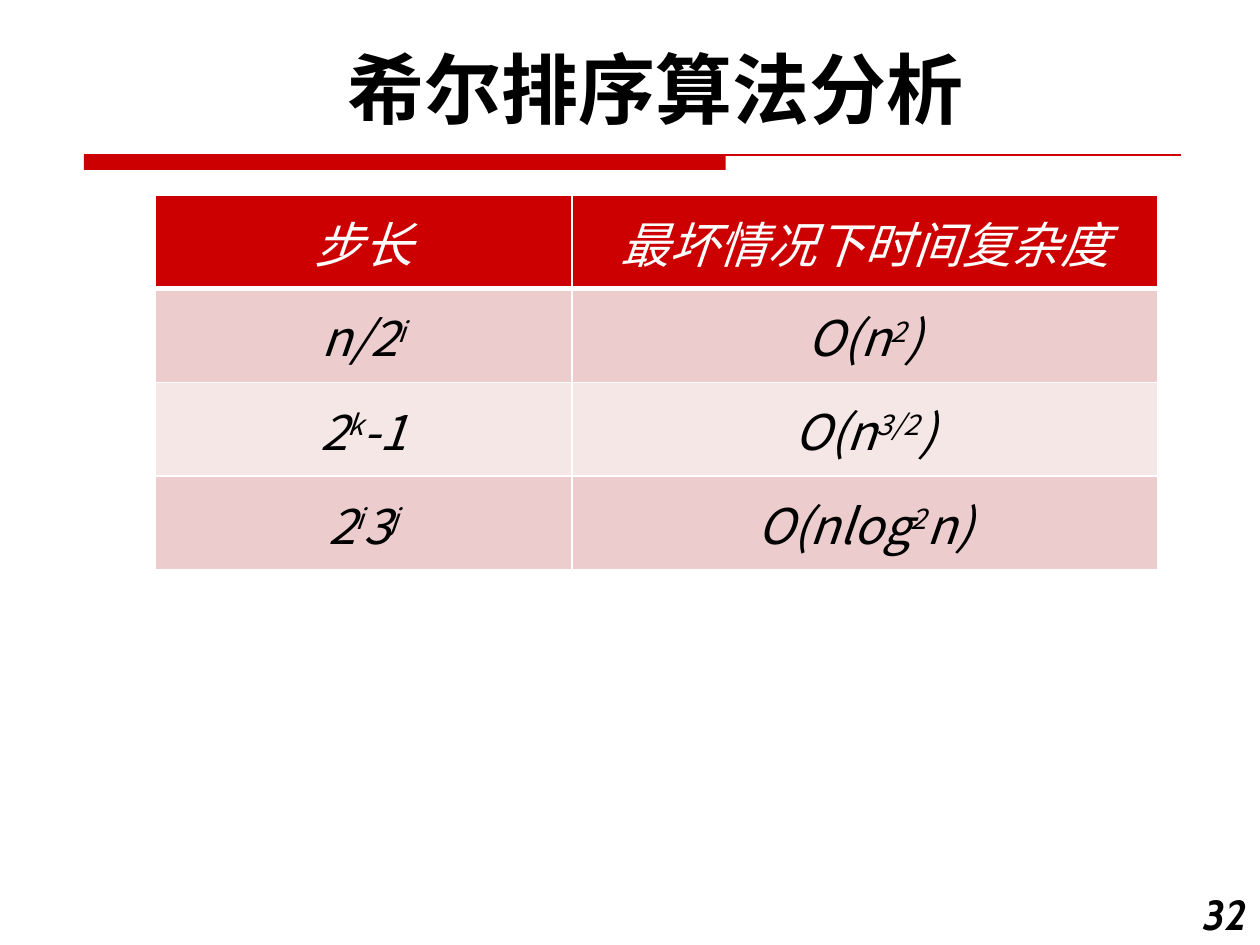
from dataclasses import dataclass

from lxml.etree import SubElement
from pptx import Presentation
from pptx.dml.color import RGBColor
from pptx.enum.shapes import MSO_CONNECTOR, MSO_SHAPE
from pptx.enum.text import MSO_ANCHOR, PP_ALIGN
from pptx.oxml.ns import qn
from pptx.util import Pt

EMU_PER_PX = 914400 / 126


@dataclass(frozen=True)
class Theme:
    """Colours, fonts and type sizes of the slide."""
    accent: str = "CC0000"
    ink: str = "000000"
    paper: str = "FFFFFF"
    bands: tuple = ("ECCCCC", "F6E7E7")
    heading_font: str = "Cabin"
    body_font: str = "Noto Sans CJK SC"
    title_size: int = 44
    body_size: int = 28
    number_size: int = 24


THEME = Theme()
HEADERS = ("步长", "最坏情况下时间复杂度")
COMPLEXITIES = (
    ("n/2^i", "O(n^2)"),
    ("2^k^-1", "O(n^3/2^)"),
    ("2^i^3^j", "O(nlog^2^n)"),
)
ROWS = (
    (("n/2", "i"), ("O(n", "2", ")")),
    (("2", "k", "-1"), ("O(n", "3/2", ")")),
    (("2", "i", "3", "j"), ("O(nlog", "2", "n)")),
)


def px(length):
    """Turn pixels into EMU."""
    return round(length * EMU_PER_PX)


def style_run(run, size, font_name, color, bold=False, italic=False):
    """Format one run for Latin and East Asian letters."""
    font = run.font
    font.size, font.name = Pt(size), font_name
    font.bold, font.italic = bold, italic
    font.color.rgb = RGBColor.from_string(color)
    SubElement(run._r.get_or_add_rPr(), qn("a:ea"), typeface=THEME.body_font)


def add_heading_text(slide, box, text, size, alignment, italic=False):
    """Place one bold line of text in the middle of a box."""
    text_frame = slide.shapes.add_textbox(*map(px, box)).text_frame
    text_frame.word_wrap = True
    text_frame.vertical_anchor = MSO_ANCHOR.MIDDLE
    text_frame.text = text
    paragraph = text_frame.paragraphs[0]
    paragraph.alignment = alignment
    style_run(paragraph.runs[0], size, THEME.heading_font, THEME.ink, True, italic)


def add_title_rule(slide, box):
    """Draw a thin rule with a thick bar under its left part."""
    left, top, width, height = box
    accent = RGBColor.from_string(THEME.accent)
    bar = slide.shapes.add_shape(
        MSO_SHAPE.RECTANGLE, px(left), px(top), px(width * 0.585), px(height))
    bar.shadow.inherit = False
    bar.fill.solid()
    bar.fill.fore_color.rgb = accent
    bar.line.fill.background()
    rule = slide.shapes.add_connector(
        MSO_CONNECTOR.STRAIGHT, px(left), px(top), px(left + width), px(top))
    rule.line.color.rgb = accent
    rule.line.width = Pt(0.75)
    SubElement(rule._element.spPr, qn("a:effectLst"))


def style_cell(cell, fill, bottom_width):
    """Give a cell white borders and a plain fill."""
    properties = cell._tc.get_or_add_tcPr()
    for side, width in (("L", 1), ("R", 1), ("T", 1), ("B", bottom_width)):
        line = SubElement(properties, qn(f"a:ln{side}"), w=str(Pt(width)))
        solid = SubElement(line, qn("a:solidFill"))
        SubElement(solid, qn("a:srgbClr"), val=THEME.paper)
    cell.fill.solid()
    cell.fill.fore_color.rgb = RGBColor.from_string(fill)
    cell.vertical_anchor = MSO_ANCHOR.MIDDLE


def write_formula(cell, parts, color):
    """Write parts that alternate between the base line and superscript."""
    paragraph = cell.text_frame.paragraphs[0]
    paragraph.alignment = PP_ALIGN.CENTER
    for index, part in enumerate(parts):
        run = paragraph.add_run()
        run.text = part
        style_run(run, THEME.body_size, THEME.body_font, color, italic=True)
        if index % 2:
            run._r.get_or_add_rPr().set("baseline", "30000")


def add_complexity_table(slide, box, first_column):
    """Place the table of step lengths and worst-case complexities."""
    left, top, width, height = box
    rows = (tuple((header,) for header in HEADERS),) + ROWS
    table = slide.shapes.add_table(
        len(rows), len(HEADERS), *map(px, box)).table
    for column, column_width in zip(table.columns, (first_column, width - first_column)):
        column.width = px(column_width)
    for row_index, formulas in enumerate(rows):
        table.rows[row_index].height = px(height / len(rows))
        is_header = row_index == 0
        fill = THEME.accent if is_header else THEME.bands[(row_index - 1) % 2]
        for column_index, parts in enumerate(formulas):
            cell = table.cell(row_index, column_index)
            style_cell(cell, fill, 3 if is_header else 1)
            write_formula(cell, parts, THEME.paper if is_header else THEME.ink)


def main():
    """Build and save the slide."""
    presentation = Presentation()
    presentation.slide_width, presentation.slide_height = px(1260), px(945)
    slide = presentation.slides.add_slide(presentation.slide_layouts[6])
    add_title_rule(slide, (84, 155, 1097, 15))
    add_heading_text(slide, (1176, 882, 84, 63), "32",
                     THEME.number_size, PP_ALIGN.RIGHT, italic=True)
    add_heading_text(slide, (73, 35, 1166, 106), "希尔排序算法分析",
                     THEME.title_size, PP_ALIGN.CENTER)
    add_complexity_table(slide, (155, 195, 1003, 375), 417)
    presentation.save("out.pptx")


if __name__ == "__main__":
    main()
